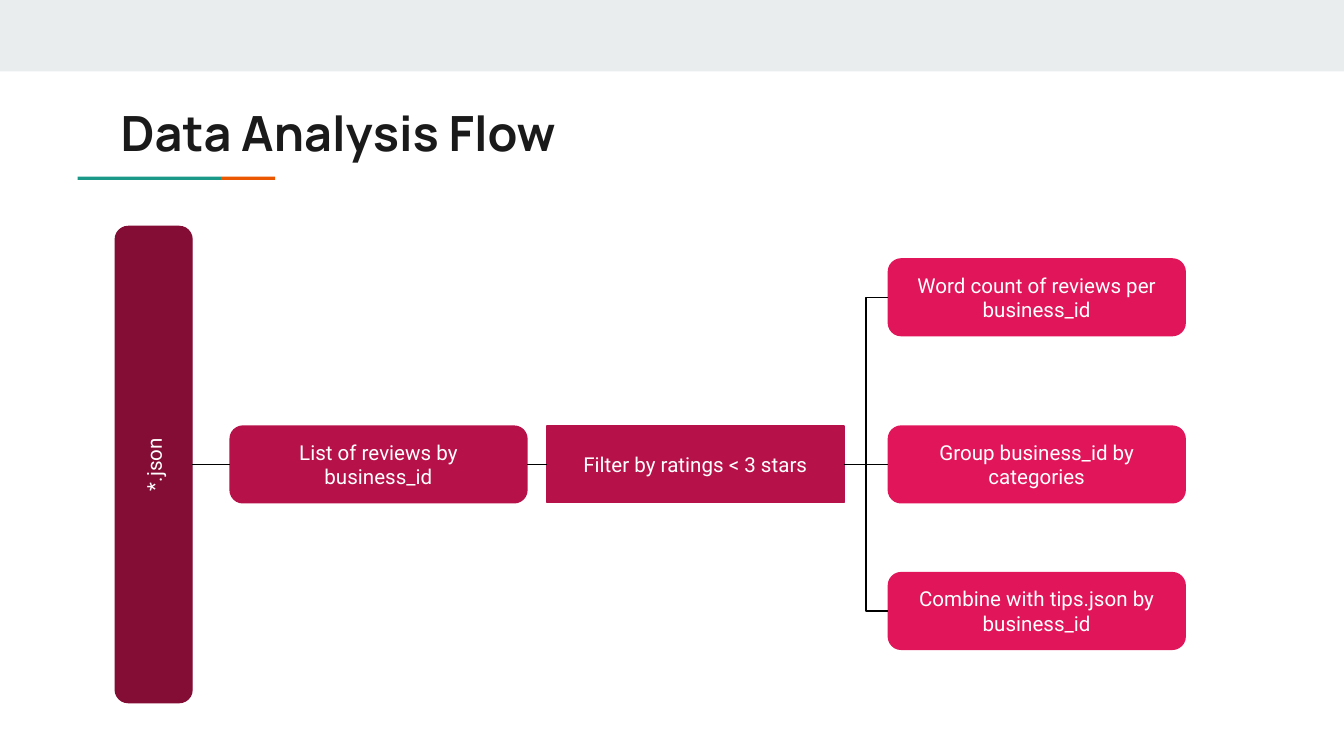
from dataclasses import dataclass

from pptx import Presentation
from pptx.dml.color import RGBColor
from pptx.enum.shapes import MSO_CONNECTOR, MSO_SHAPE
from pptx.enum.text import MSO_ANCHOR, MSO_AUTO_SIZE, PP_ALIGN
from pptx.oxml.ns import qn
from pptx.util import Cm, Pt

RECT, ROUNDED = MSO_SHAPE.RECTANGLE, MSO_SHAPE.ROUNDED_RECTANGLE
STRAIGHT, ELBOW = MSO_CONNECTOR.STRAIGHT, MSO_CONNECTOR.ELBOW
TOP, MIDDLE = MSO_ANCHOR.TOP, MSO_ANCHOR.MIDDLE
LEFT, CENTER = PP_ALIGN.LEFT, PP_ALIGN.CENTER
NO_AUTOFIT = MSO_AUTO_SIZE.NONE
LEFT_SIDE, RIGHT_SIDE = 1, 3


@dataclass(frozen=True)
class Theme:
    band: str = "E9EDEE"
    teal: str = "1A9988"
    orange: str = "EB5600"
    ink: str = "1A1A1A"
    white: str = "FFFFFF"
    line: str = "000000"
    source: str = "840D35"
    step: str = "B61249"
    output: str = "E1165A"
    title_font: str = "Manrope"
    body_font: str = "Roboto"
    title_size: float = 26
    body_size: float = 11
    line_width: float = 0.75


THEME = Theme()
STEP_WIDTH, STEP_HEIGHT = 5.61, 1.45


def write(shape, text, font_name, size, color, align, anchor, bold=False):
    frame = shape.text_frame
    frame.text = text
    frame.word_wrap = True
    frame.auto_size = NO_AUTOFIT
    frame.vertical_anchor = anchor
    frame.margin_left = frame.margin_right = Cm(0.25)
    frame.margin_top = frame.margin_bottom = Cm(0.25)
    paragraph = frame.paragraphs[0]
    paragraph.alignment = align
    paragraph.font.name = font_name
    paragraph.font.size = Pt(size)
    paragraph.font.bold = bold
    paragraph.font.color.rgb = RGBColor.from_string(color)


def add_block(slide, kind, left, top, width, height, color):
    block = slide.shapes.add_shape(kind, Cm(left), Cm(top), Cm(width), Cm(height))
    block.shadow.inherit = False
    block.fill.solid()
    block.fill.fore_color.rgb = RGBColor.from_string(color)
    block.line.fill.background()
    return block


def add_node(slide, kind, left, middle, width, color, text):
    node = add_block(slide, kind, left, middle - STEP_HEIGHT / 2, width, STEP_HEIGHT, color)
    node.line.color.rgb = RGBColor.from_string(color)
    node.line.width = Pt(THEME.line_width)
    write(node, text, THEME.body_font, THEME.body_size, THEME.white, CENTER, MIDDLE)
    return node


def add_link(slide, kind, x1, y1, x2, y2, start=None, end=None):
    link = slide.shapes.add_connector(kind, Cm(x1), Cm(y1), Cm(x2), Cm(y2))
    link.line.color.rgb = RGBColor.from_string(THEME.line)
    link.line.width = Pt(THEME.line_width)
    properties = link._element.spPr
    properties.append(properties.makeelement(qn("a:effectLst"), {}))
    if start is not None:
        link.begin_connect(start, RIGHT_SIDE)
    if end is not None:
        link.end_connect(end, LEFT_SIDE)


def add_heading(slide, left, top, width, height):
    add_block(slide, RECT, 0, 0, 25.4, 1.35, THEME.band)
    rule_left, rule_top = left - 0.56, top + 1.64
    add_block(slide, RECT, rule_left, rule_top, 2.71, 0.06, THEME.teal)
    add_block(slide, RECT, rule_left + 2.71, rule_top, 1.02, 0.06, THEME.orange)
    title = slide.shapes.title
    title.left, title.top = Cm(left), Cm(top)
    title.width, title.height = Cm(width), Cm(height)
    write(title, "Data Analysis Flow", THEME.title_font, THEME.title_size,
          THEME.ink, LEFT, TOP, bold=True)


def add_flow(slide, left, top, width, height):
    middle = top + height / 2
    source_right = left + STEP_HEIGHT
    source = add_node(slide, ROUNDED, left + (STEP_HEIGHT - height) / 2, middle,
                      height, THEME.source, "*.json")
    source.rotation = 270

    reviews_left, filter_left = left + 2.17, left + 8.16
    reviews = add_node(slide, ROUNDED, reviews_left, middle, STEP_WIDTH,
                       THEME.step, "List of reviews by business_id")
    ratings = add_node(slide, RECT, filter_left, middle, STEP_WIDTH,
                       THEME.step, "Filter by ratings < 3 stars")
    add_link(slide, STRAIGHT, source_right, middle, reviews_left, middle, end=reviews)
    add_link(slide, STRAIGHT, reviews_left + STEP_WIDTH, middle, filter_left, middle,
             reviews, ratings)

    output_left = left + width - STEP_WIDTH
    outputs = [
        (-3.16, ELBOW, "Word count of reviews per business_id"),
        (0, STRAIGHT, "Group business_id by categories"),
        (2.77, ELBOW, "Combine with tips.json by business_id"),
    ]
    for offset, kind, text in outputs:
        output = add_node(slide, ROUNDED, output_left, middle + offset, STEP_WIDTH,
                          THEME.output, text)
        add_link(slide, kind, filter_left + STEP_WIDTH, middle, output_left,
                 middle + offset, ratings, output)


def main():
    deck = Presentation()
    deck.slide_width, deck.slide_height = Cm(25.4), Cm(14.29)
    slide = deck.slides.add_slide(deck.slide_layouts[5])
    add_heading(slide, 2.03, 1.7, 21.36, 1.5)
    add_flow(slide, 2.18, 4.28, 20.22, 9)
    deck.save("out.pptx")


if __name__ == "__main__":
    main()
